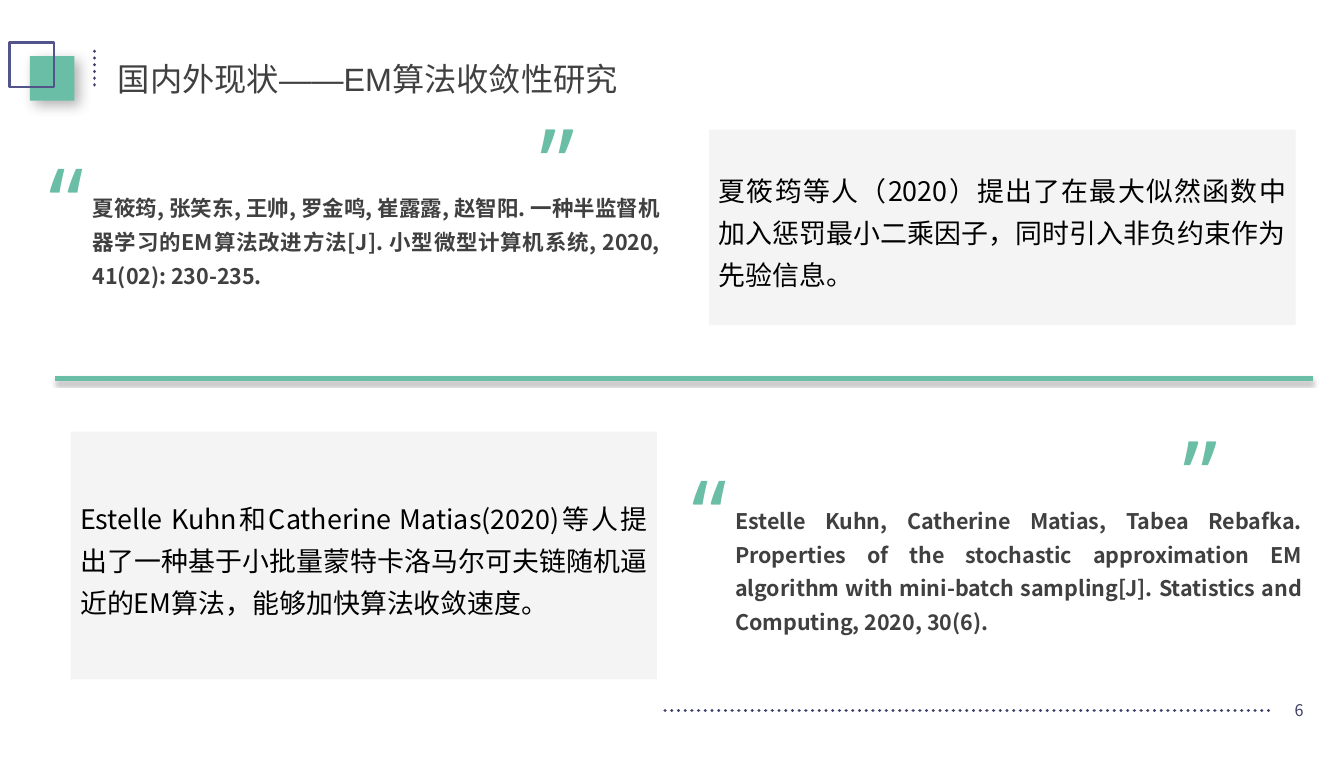
from lxml.etree import SubElement
from pptx import Presentation
from pptx.dml.color import RGBColor
from pptx.enum.dml import MSO_LINE
from pptx.enum.shapes import MSO_CONNECTOR, MSO_SHAPE
from pptx.enum.text import MSO_ANCHOR, PP_ALIGN
from pptx.oxml.ns import qn
from pptx.util import Inches, Pt

COLORS = {
    "green": "6ABEA5", "purple": "53548A", "navy": "3E3F68",
    "panel": "DEDEDE", "gray": "404040", "black": "000000",
}
CJK = "Noto Sans CJK SC"
MONO = "Noto Sans Mono"
COLUMN_WIDTH = 6.06


class SlideBuilder:
    def __init__(self, slide):
        self.shapes = slide.shapes

    def color(self, name):
        return RGBColor.from_string(COLORS[name])

    def add_shadow(self, effects, color, alpha, blur, distance, angle):
        """Blur and distance are points, alpha is percent, angle is degrees."""
        shadow = SubElement(effects, qn("a:outerShdw"), blurRad=str(Pt(blur)),
                            dist=str(Pt(distance)), dir=str(angle * 60000),
                            algn="tl", rotWithShape="0")
        tint = SubElement(shadow, qn("a:srgbClr"), val=COLORS[color])
        SubElement(tint, qn("a:alpha"), val=str(alpha * 1000))

    def rectangle(self, left, top, width, height, fill=None, alpha=None,
                  line=None, shadow=None):
        box = self.shapes.add_shape(MSO_SHAPE.RECTANGLE, Inches(left), Inches(top),
                                    Inches(width), Inches(height))
        box.shadow.inherit = False
        if fill:
            box.fill.solid()
            box.fill.fore_color.rgb = self.color(fill)
        else:
            box.fill.background()
        if alpha:
            tint = box._element.spPr.find(qn("a:solidFill"))[0]
            SubElement(tint, qn("a:alpha"), val=str(alpha * 1000))
        if line:
            box.line.color.rgb = self.color(line)
            box.line.width = Pt(2)
        else:
            box.line.fill.background()
        if shadow:
            self.add_shadow(box._element.spPr.find(qn("a:effectLst")), *shadow)
        return box

    def line(self, start, end, color, width, dotted=False, shadow=None):
        line = self.shapes.add_connector(MSO_CONNECTOR.STRAIGHT,
                                         *map(Inches, start + end))
        line.line.color.rgb = self.color(color)
        line.line.width = Pt(width)
        if dotted:
            line.line.dash_style = MSO_LINE.ROUND_DOT
            line._element.spPr.find(qn("a:ln")).set("cap", "rnd")
        effects = SubElement(line._element.spPr, qn("a:effectLst"))
        if shadow:
            self.add_shadow(effects, *shadow)

    def fill_text(self, box, text, size, font, color, bold=False,
                  align=PP_ALIGN.LEFT, spacing=1.0):
        box.text_frame.word_wrap = True
        para = box.text_frame.paragraphs[0]
        para.text = text
        para.alignment = align
        para.line_spacing = spacing
        span = para.runs[0]
        span.font.size = Pt(size)
        span.font.name = font
        span.font.bold = bold
        span.font.color.rgb = self.color(color)
        SubElement(span.font._element, qn("a:ea"), typeface=font)

    def text(self, left, top, width, height, text, size, font, color, **style):
        box = self.shapes.add_textbox(Inches(left), Inches(top),
                                      Inches(width), Inches(height))
        self.fill_text(box, text, size, font, color, **style)
        return box

    def finding(self, left, top, height, text):
        box = self.rectangle(left, top, COLUMN_WIDTH, height, "panel", alpha=33)
        box.text_frame.vertical_anchor = MSO_ANCHOR.MIDDLE
        self.fill_text(box, text, 20, CJK, "black", align=PP_ALIGN.JUSTIFY, spacing=1.3)

    def citation(self, left, top, height, text):
        """Reference between an opening quote mark and the same mark turned round."""
        for offset, rotation in ((0, 0), (5, 180)):
            mark = self.text(left + offset, top, 0.87, 1.71, "“", 72, MONO,
                             "green", spacing=1.5)
            mark.rotation = rotation
        self.text(left + 0.57, top + 1.08, COLUMN_WIDTH, height, text, 16, CJK,
                  "gray", bold=True, align=PP_ALIGN.JUSTIFY, spacing=1.3)

    def page_number(self, number):
        box = self.text(13.23, 7.14, 0.39, 0.39, number, 12, CJK, "navy",
                        align=PP_ALIGN.CENTER)
        frame = box.text_frame
        frame.vertical_anchor = MSO_ANCHOR.MIDDLE
        frame.margin_left = frame.margin_right = 0
        frame.margin_top = frame.margin_bottom = 0


def main():
    deck = Presentation()
    deck.slide_width, deck.slide_height = Inches(13.89), Inches(7.82)
    page = SlideBuilder(deck.slides.add_slide(deck.slide_layouts[6]))

    page.rectangle(0.31, 0.58, 0.46, 0.46, "green", shadow=("gray", 40, 10, 5, 45))
    page.rectangle(0.1, 0.44, 0.46, 0.46, line="purple")
    page.line((0.98, 0.53), (0.98, 0.88), "navy", 2.5, dotted=True)
    page.line((13.11, 7.34), (6.81, 7.34), "navy", 2.5, dotted=True)
    page.page_number("6")
    page.text(1.12, 0.56, 5.91, 0.91, "国内外现状——EM算法收敛性研究", 24, "Arial", "gray")

    page.finding(7.33, 1.34, 2.02,
                 "夏筱筠等人（2020）提出了在最大似然函数中加入惩罚最小二乘因子，"
                 "同时引入非负约束作为先验信息。")
    page.citation(0.29, 0.81, 1.12,
                  "夏筱筠, 张笑东, 王帅, 罗金鸣, 崔露露, 赵智阳. "
                  "一种半监督机器学习的EM算法改进方法[J]. "
                  "小型微型计算机系统, 2020, 41(02): 230-235.")
    page.finding(0.73, 4.46, 2.56,
                 "Estelle Kuhn和Catherine Matias(2020)等人提出了一种基于小批量"
                 "蒙特卡洛马尔可夫链随机逼近的EM算法，能够加快算法收敛速度。")
    page.citation(6.93, 4.04, 1.47,
                  "Estelle Kuhn, Catherine Matias, Tabea Rebafka. Properties of the "
                  "stochastic approximation EM algorithm with mini-batch sampling[J]. "
                  "Statistics and Computing, 2020, 30(6).")
    page.line((0.57, 3.91), (13.57, 3.91), "green", 3, shadow=("black", 35, 3.1, 1.8, 90))
    deck.save("out.pptx")


if __name__ == "__main__":
    main()
